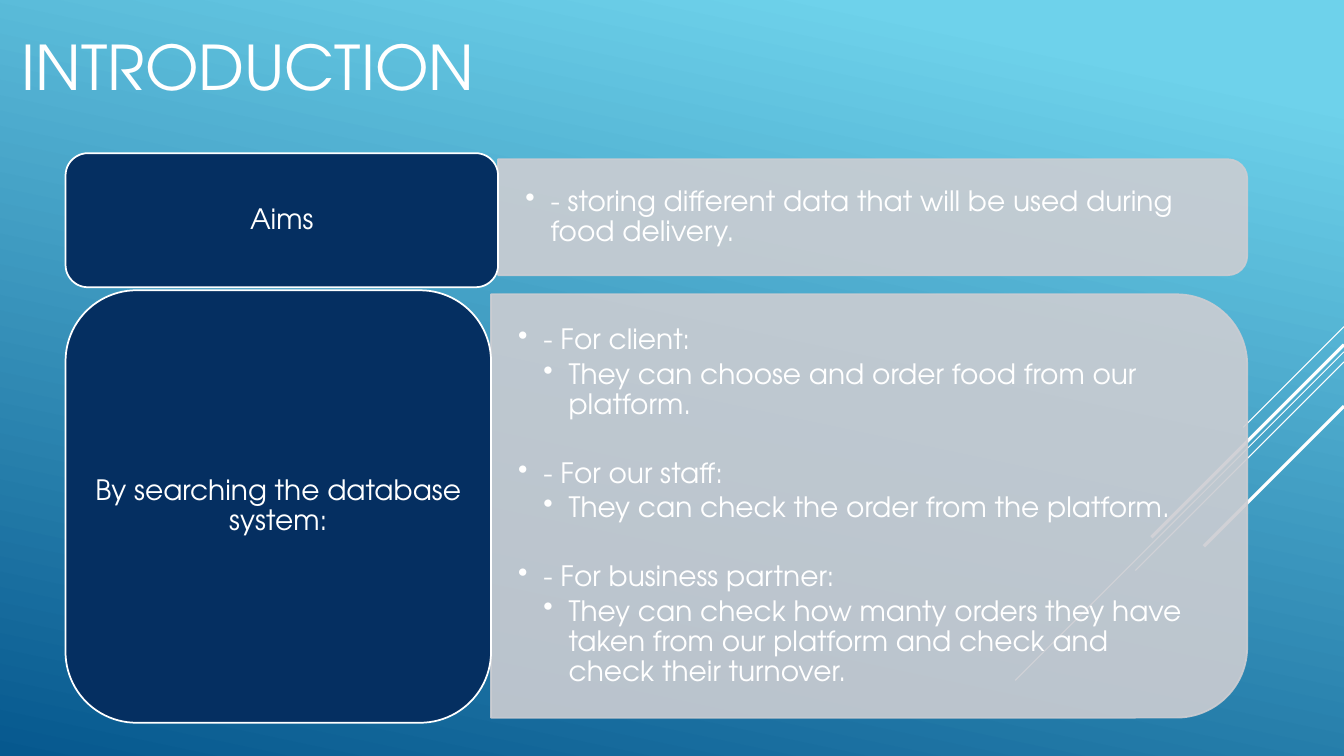
from dataclasses import dataclass

from lxml import etree
from pptx import Presentation
from pptx.dml.color import RGBColor
from pptx.enum.shapes import MSO_CONNECTOR, MSO_SHAPE
from pptx.enum.text import MSO_ANCHOR, PP_ALIGN
from pptx.oxml.ns import qn
from pptx.util import Inches, Pt

ROUND_RECTANGLE = MSO_SHAPE.ROUNDED_RECTANGLE
ROUND_TOP_RECTANGLE = MSO_SHAPE.ROUND_2_SAME_RECTANGLE
STRAIGHT = MSO_CONNECTOR.STRAIGHT
MIDDLE = MSO_ANCHOR.MIDDLE
LEFT, CENTER = PP_ALIGN.LEFT, PP_ALIGN.CENTER


@dataclass(frozen=True)
class Theme:
    font: str = "TeX Gyre Adventor"
    title_size: float = 44
    body_size: float = 20
    white: str = "FFFFFF"
    navy: str = "052F61"
    grey: str = "CCCDD2"
    sky: str = "6ED2EB"
    ocean: str = "06588E"
    border: float = 1.25
    panel_opacity: int = 90


@dataclass(frozen=True)
class Box:
    left: float
    top: float
    width: float
    height: float

    def lengths(self):
        return [Inches(value) for value in (self.left, self.top, self.width, self.height)]

    def turned(self):
        shift = (self.width - self.height) / 2
        return Box(self.left + shift, self.top - shift, self.height, self.width)


@dataclass(frozen=True)
class Line:
    text: str
    level: int = 0
    align: int = LEFT
    size: float = 20
    before: float = 0
    after: float = 0
    spacing: float = 0.9


@dataclass(frozen=True)
class Row:
    label: str
    label_box: Box
    panel_box: Box
    text_box: Box
    bullets: list


@dataclass(frozen=True)
class Ray:
    top: float
    length: float
    weight: float


THEME = Theme()
SLIDE_WIDTH, SLIDE_HEIGHT = 13.33, 7.5
GROUP_GAP = 24.6
BULLET_AFTER = 3
LABEL_AFTER = 7
BULLET_INDENT = 0.25
LABEL_INSETS = (0.08, 0.04)
PANEL_INSETS = (0.27, 0.14)
TITLE_INSETS = (0.1, 0.05)

RAYS = [
    Ray(3.24, 1, 0.75),
    Ray(3.49, 3.26, 0.75),
    Ray(3.59, 2.07, 0.75),
    Ray(3.42, 1.91, 2.25),
    Ray(4.03, 1.39, 2.25),
]


def bullet(text: str, level: int = 1, before: float = 0) -> Line:
    return Line(text, level, size=THEME.body_size, before=before, after=BULLET_AFTER)


ROWS = [
    Row(
        "Aims",
        Box(0.65, 1.52, 4.29, 1.33),
        Box(4.94, 1.58, 7.43, 1.15),
        Box(4.94, 1.64, 7.38, 1.04),
        [bullet("- storing different data that will be used during food delivery.")],
    ),
    Row(
        "By searching the database system:",
        Box(0.65, 2.88, 4.22, 4.29),
        Box(4.87, 2.92, 7.5, 4.2),
        Box(4.87, 3.13, 7.3, 3.79),
        [
            bullet("- For client:"),
            bullet("They can choose and order food from our platform.", 2),
            bullet("- For our staff:", before=GROUP_GAP),
            bullet("They can check the order from the platform.", 2),
            bullet("- For business partner:", before=GROUP_GAP),
            bullet("They can check how manty orders they have taken from our platform "
                   "and check and check their turnover.", 2),
        ],
    ),
]


def apply(target, values: dict) -> None:
    for name, value in values.items():
        setattr(target, name, value)


def add_bullet(paragraph, level: int) -> None:
    properties = paragraph._p.get_or_add_pPr()
    properties.set("marL", str(Inches(BULLET_INDENT * level)))
    properties.set("indent", str(-Inches(BULLET_INDENT)))
    etree.SubElement(properties, qn("a:buChar")).set("char", "•")


def write_lines(shape, lines: list, insets: tuple) -> None:
    side, edge = (Inches(value) for value in insets)
    frame = shape.text_frame
    apply(frame, {
        "word_wrap": True, "vertical_anchor": MIDDLE,
        "margin_left": side, "margin_right": side,
        "margin_top": edge, "margin_bottom": edge,
    })
    for index, line in enumerate(lines):
        paragraph = frame.add_paragraph() if index else frame.paragraphs[0]
        apply(paragraph, {
            "alignment": line.align, "level": line.level, "line_spacing": line.spacing,
            "space_before": Pt(line.before), "space_after": Pt(line.after),
        })
        if line.level:
            add_bullet(paragraph, line.level)
        run = paragraph.add_run()
        run.text = line.text
        apply(run.font, {"name": THEME.font, "size": Pt(line.size)})
        run.font.color.rgb = RGBColor.from_string(THEME.white)


def add_text(slide, box: Box, lines: list, insets: tuple) -> None:
    write_lines(slide.shapes.add_textbox(*box.lengths()), lines, insets)


def add_filled(slide, kind: int, box: Box, fill: str, outline: str):
    shape = slide.shapes.add_shape(kind, *box.lengths())
    shape.shadow.inherit = False
    shape.fill.solid()
    shape.fill.fore_color.rgb = RGBColor.from_string(fill)
    shape.line.color.rgb = RGBColor.from_string(outline)
    shape.line.width = Pt(THEME.border)
    return shape


def add_panel(slide, box: Box) -> None:
    panel = add_filled(slide, ROUND_TOP_RECTANGLE, box.turned(), THEME.grey, THEME.grey)
    panel.rotation = 90
    for color in panel._element.spPr.iter(qn("a:srgbClr")):
        etree.SubElement(color, qn("a:alpha")).set("val", str(THEME.panel_opacity * 1000))


def add_row(slide, row: Row) -> None:
    add_panel(slide, row.panel_box)
    add_text(slide, row.text_box, row.bullets, PANEL_INSETS)
    label = add_filled(slide, ROUND_RECTANGLE, row.label_box, THEME.navy, THEME.white)
    line = Line(row.label, align=CENTER, size=THEME.body_size, after=LABEL_AFTER)
    write_lines(label, [line], LABEL_INSETS)


def add_ray(slide, ray: Ray) -> None:
    connector = slide.shapes.add_connector(
        STRAIGHT, Inches(SLIDE_WIDTH), Inches(ray.top),
        Inches(SLIDE_WIDTH - ray.length), Inches(ray.top + ray.length))
    connector.line.color.rgb = RGBColor.from_string(THEME.white)
    connector.line.width = Pt(ray.weight)
    etree.SubElement(connector._element.spPr, qn("a:effectLst"))


def paint_background(slide) -> None:
    fill = slide.background.fill
    fill.gradient()
    fill.gradient_angle = 360 - 102
    for stop, position, color in zip(fill.gradient_stops, (0.1, 1), (THEME.sky, THEME.ocean)):
        stop.position = position
        stop.color.rgb = RGBColor.from_string(color)


presentation = Presentation()
apply(presentation, {"slide_width": Inches(SLIDE_WIDTH), "slide_height": Inches(SLIDE_HEIGHT)})
slide = presentation.slides.add_slide(presentation.slide_layouts[6])
paint_background(slide)
for ray in RAYS:
    add_ray(slide, ray)
title = Line("INTRODUCTION", size=THEME.title_size)
add_text(slide, Box(0.12, 0.1, 5.07, 1.2), [title], TITLE_INSETS)
for row in ROWS:
    add_row(slide, row)
presentation.save("out.pptx")
